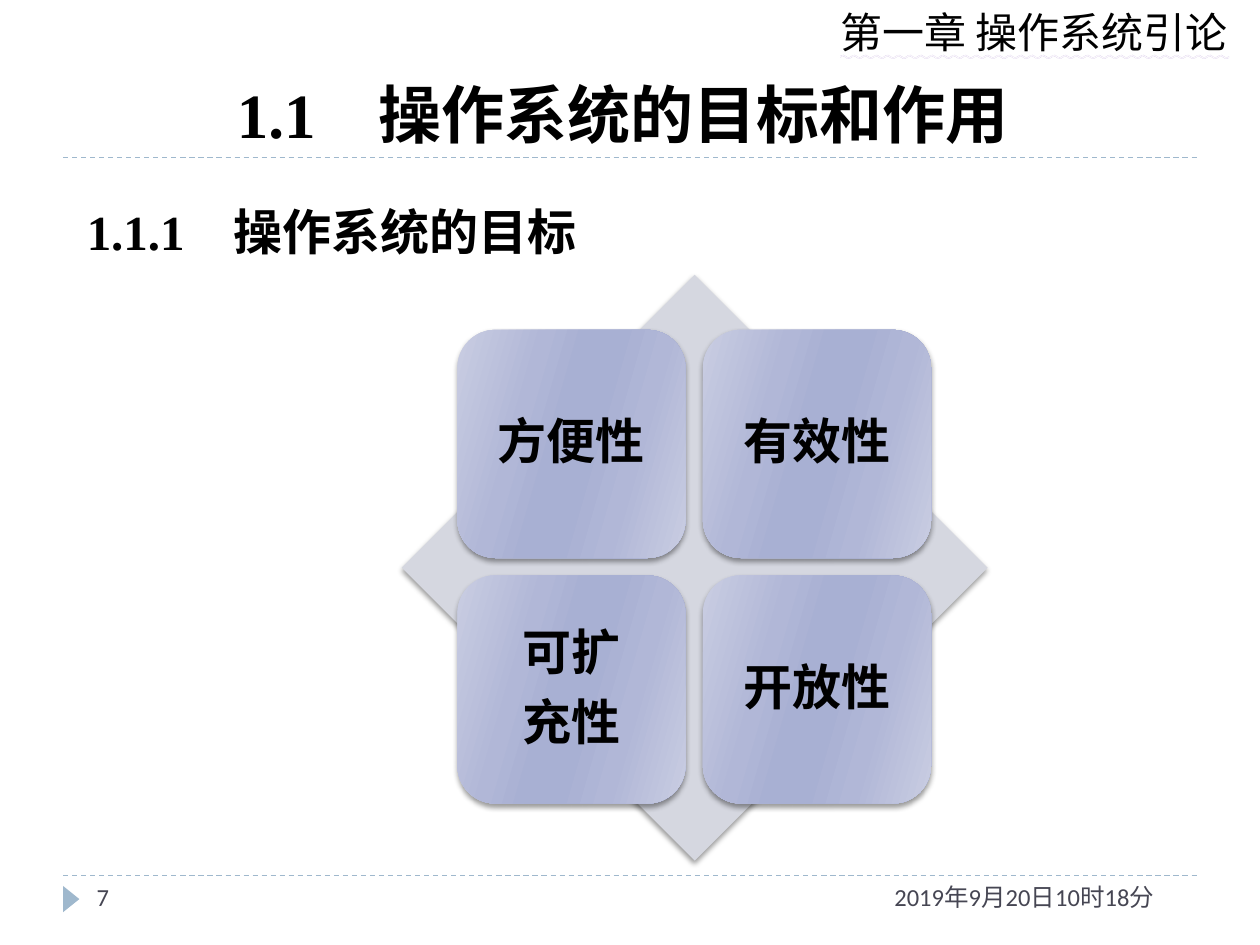
"""Build a slide on the goals of an operating system."""
from dataclasses import dataclass

from lxml.etree import SubElement
from pptx import Presentation
from pptx.dml.color import RGBColor as RGB
from pptx.enum.dml import MSO_LINE as DASH
from pptx.enum.shapes import MSO_CONNECTOR as CONN, MSO_SHAPE as SHAPE
from pptx.enum.text import MSO_ANCHOR as ANCHOR, MSO_UNDERLINE as UNDERLINE, PP_ALIGN as ALIGN
from pptx.oxml.ns import qn
from pptx.util import Cm, Pt


@dataclass(frozen=True)
class Theme:
    ink: str = "000000"
    muted: str = "464653"
    accent: str = "9FB8CD"
    wave: str = "C8B4E0"
    diamond: str = "D5D7E0"
    card: tuple = ((0, "C9CDE2"), (30, "B1B7D7"), (45, "A8B0D3"),
                   (55, "A8B0D3"), (73, "B1B7D7"), (100, "C9CDE2"))
    body: str = "Calibri"
    serif: str = "Times New Roman"
    slab: str = "Roboto Slab"
    title: int = 36
    heading: int = 28
    chapter: int = 24
    footer: int = 14


T = Theme()


def add_color(parent, color, alpha=None):
    clr = SubElement(parent, qn("a:srgbClr"), val=color)
    if alpha is not None:
        SubElement(clr, qn("a:alpha"), val=str(alpha * 1000))


def style(p, size, color=T.ink, font=None, bold=False):
    p.font.size = Pt(size)
    p.font.bold = bold
    p.font.color.rgb = RGB.from_string(color)
    if font:
        p.font.name = font


def add_text(s, box, text, size, color=T.ink, font=T.body, bold=False, wrap=True):
    tf = s.shapes.add_textbox(*map(Cm, box)).text_frame
    tf.word_wrap = wrap
    p = tf.paragraphs[0]
    p.text = text
    style(p, size, color, font, bold)
    return p


def add_title(s, box, parts):
    tf = s.shapes.add_textbox(*map(Cm, box)).text_frame
    tf.word_wrap = True
    tf.vertical_anchor = ANCHOR.BOTTOM
    p = tf.paragraphs[0]
    p.alignment = ALIGN.CENTER
    for text, font in parts:
        r = p.add_run()
        r.text = text
        r.font.name = font
    style(p, T.title, bold=True)


def add_wave(r):
    r.font.underline = UNDERLINE.WAVY_DOUBLE_LINE
    u_fill = SubElement(r._r.get_or_add_rPr(), qn("a:uFill"))
    add_color(SubElement(u_fill, qn("a:solidFill")), T.wave)


def add_rule(s, y):
    line = s.shapes.add_connector(CONN.STRAIGHT, Cm(1.27), Cm(y), Cm(24.13), Cm(y))
    line.line.color.rgb = RGB.from_string(T.accent)
    line.line.width = Pt(0.75)
    line.line.dash_style = DASH.DASH
    SubElement(line._element.spPr, qn("a:effectLst"))


def add_solid(s, kind, box, color):
    sp = s.shapes.add_shape(kind, *map(Cm, box))
    sp.shadow.inherit = False
    sp.fill.solid()
    sp.fill.fore_color.rgb = RGB.from_string(color)
    sp.line.fill.background()
    return sp


def add_shadow(sp):
    effects = sp._element.spPr.find(qn("a:effectLst"))
    shadow = SubElement(effects, qn("a:outerShdw"), blurRad=str(Pt(3)), dist=str(Pt(2)),
                        dir="5400000", rotWithShape="0")
    add_color(shadow, T.ink, 40)


def set_gradient(sp, stops, angle):
    sp.fill.gradient()
    sp.fill.gradient_angle = 0
    grad = sp._element.spPr.find(qn("a:gradFill"))
    gs_list = grad.find(qn("a:gsLst"))
    for gs in list(gs_list):
        gs_list.remove(gs)
    for pos, color in stops:
        add_color(SubElement(gs_list, qn("a:gs"), pos=str(pos * 1000)), color)
    grad.find(qn("a:lin")).set("ang", str(angle * 60000))


def add_card(s, box, lines):
    sp = add_solid(s, SHAPE.ROUNDED_RECTANGLE, box, T.diamond)
    set_gradient(sp, T.card, 16)
    add_shadow(sp)
    tf = sp.text_frame
    tf.word_wrap = True
    tf.vertical_anchor = ANCHOR.MIDDLE
    tf.margin_left = tf.margin_right = tf.margin_top = tf.margin_bottom = Cm(0.3)
    tf.text = "\n".join(lines)
    for p in tf.paragraphs:
        p.alignment = ALIGN.CENTER
        p.line_spacing = 0.9
        p.space_after = Pt(10)
        style(p, T.heading, font=T.body, bold=True)


def add_matrix(s, goals):
    left, top, size, pitch = 9.22, 6.65, 4.6, 4.95
    add_shadow(add_solid(s, SHAPE.DIAMOND, (8.1, 5.54, 11.81, 11.81), T.diamond))
    for i, lines in enumerate(goals):
        row, col = divmod(i, 2)
        add_card(s, (left + col * pitch, top + row * pitch, size, size), lines)


def main():
    prs = Presentation()
    prs.slide_width, prs.slide_height = Cm(25.4), Cm(19.05)
    s = prs.slides.add_slide(prs.slide_layouts[6])
    for y in (17.65, 3.18):
        add_rule(s, y)
    add_solid(s, SHAPE.ISOSCELES_TRIANGLE, (1.17, 17.96, 0.53, 0.33), T.accent).rotation = 90
    chapter = add_text(s, (16.69, 0, 8.64, 1.27), "第一章 操作系统引论", T.chapter, wrap=False)
    add_wave(chapter.runs[0])
    add_title(s, (1.27, 1.32, 22.86, 1.85),
              [("1.1\u3000", T.serif), ("操作系统的目标和作用 ", T.slab)])
    add_text(s, (17.78, 17.65, 6.35, 1.02), "2019年9月20日10时18分", T.footer, T.muted)
    add_text(s, (1.7, 17.65, 5.51, 1.02), "7", T.footer, T.muted)
    add_matrix(s, [["方便性"], ["有效性"], ["可扩", "充性"], ["开放性"]])
    add_text(s, (1.5, 3.94, 10.52, 1.45), "1.1.1\u3000操作系统的目标", T.heading,
             font=T.serif, bold=True)
    prs.save("out.pptx")


if __name__ == "__main__":
    main()
